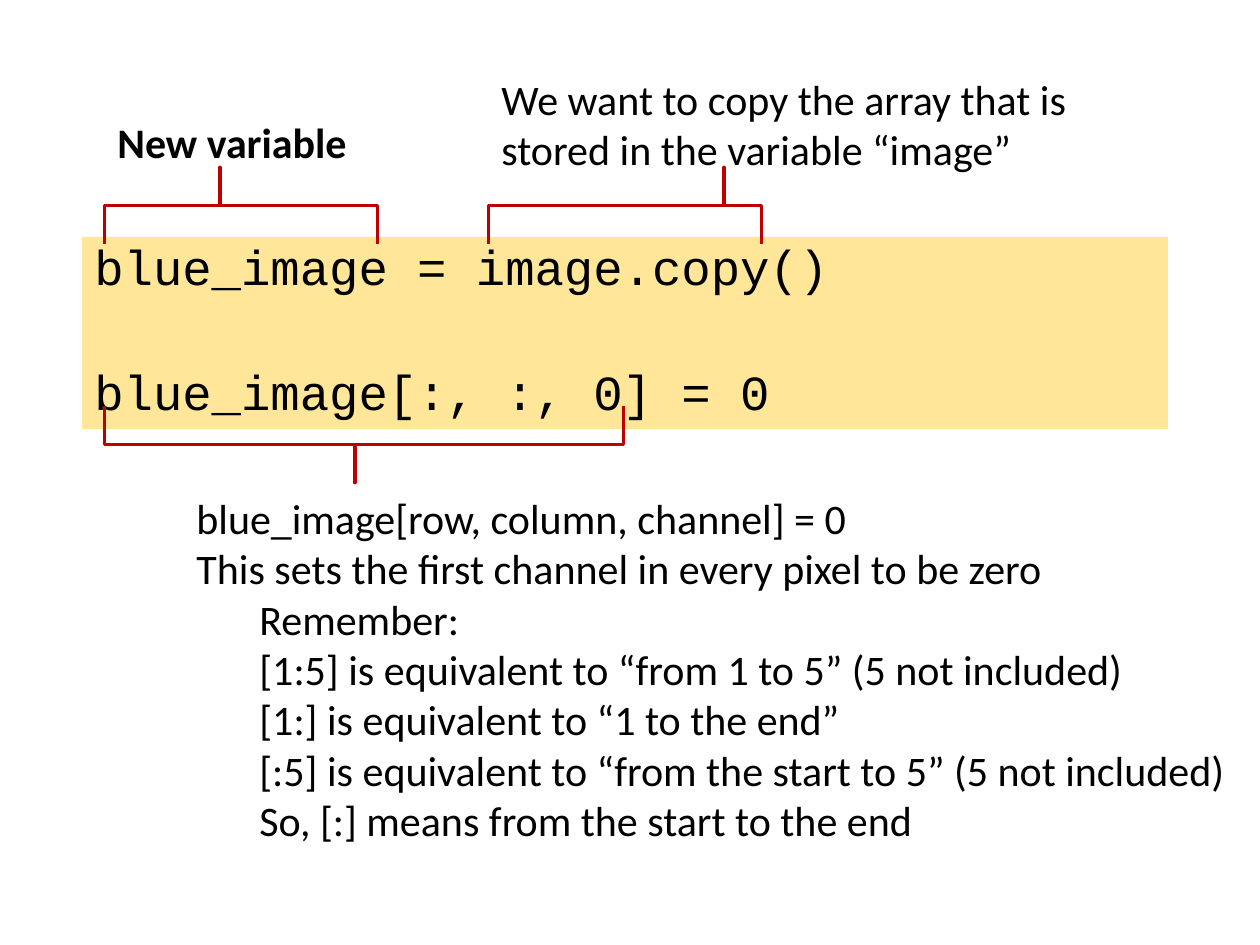
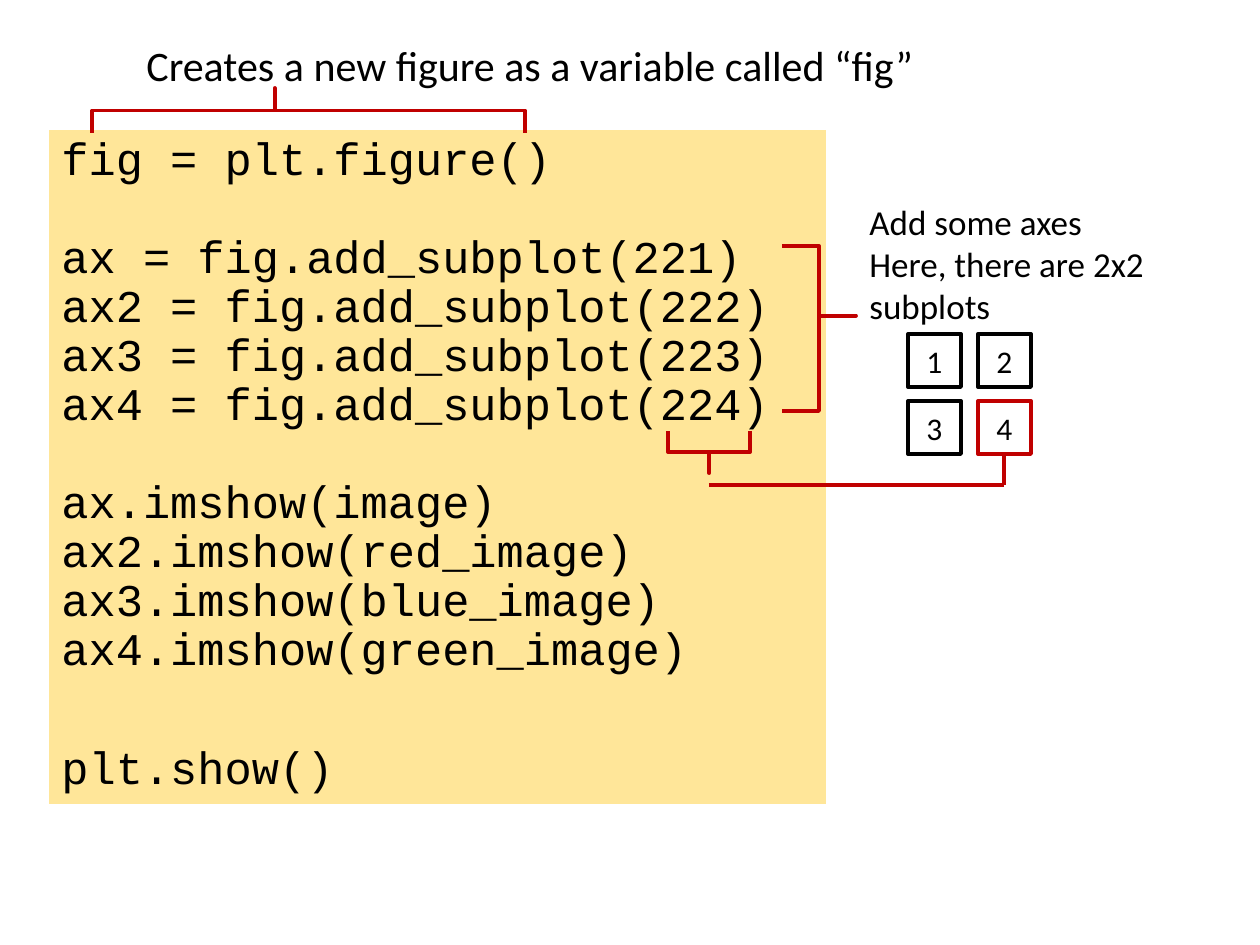
"""Build two slides that explain image array code with bracketed notes."""
from lxml import etree
from pptx import Presentation
from pptx.dml.color import RGBColor
from pptx.enum.shapes import MSO_CONNECTOR, MSO_SHAPE
from pptx.enum.text import MSO_ANCHOR, PP_ALIGN
from pptx.oxml.ns import qn
from pptx.util import Inches, Pt

RECT, BRACE = MSO_SHAPE.RECTANGLE, MSO_SHAPE.RIGHT_BRACE
STRAIGHT = MSO_CONNECTOR.STRAIGHT
MIDDLE, CENTER, LEFT = MSO_ANCHOR.MIDDLE, PP_ALIGN.CENTER, PP_ALIGN.LEFT
TOP = MSO_ANCHOR.TOP
COLORS = {"code": "FFE699", "accent": "C00000", "ink": "000000", "paper": "FFFFFF"}
BODY, MONO = "Calibri", "Courier New"
LINE_WIDTH = 2.25
PX_PER_INCH = 126
INDENT = 63

SLIDES = [
    {
        "code": {
            "at": (82, 237, 1086, 192), "size": 28,
            "blocks": [
                (0, ["blue_image = image.copy()"]),
                (41, ["blue_image[:, :, 0] = 0"]),
            ],
        },
        "braces": [
            ((203, 69, 76, 273), 270, 0.422),
            ((326, 185, 76, 519), 90, 0.518),
            ((587, 69, 76, 273), 270, 0.863),
        ],
        "notes": [
            {"at": (184, 486, 1062, 369), "size": 24, "wrap": False, "lines": [
                (0, "blue_image[row, column, channel] = 0"),
                (0, "This sets the first channel in every pixel to be zero"),
                (1, "Remember:"),
                (1, "[1:5] is equivalent to “from 1 to 5” (5 not included)"),
                (1, "[1:] is equivalent to “1 to the end”"),
                (1, "[:5] is equivalent to “from the start to 5” (5 not included)"),
                (1, "So, [:] means from the start to the end"),
            ]},
            {"at": (105, 110, 257, 63), "size": 24, "wrap": False, "bold": True,
             "lines": [(0, "New variable")]},
            {"at": (489, 67, 675, 115), "size": 24, "lines": [
                (0, "We want to copy the array that is stored in the variable “image”"),
            ]},
        ],
    },
    {
        "code": {
            "at": (49, 130, 777, 674), "size": 25.9,
            "blocks": [
                (0, ["fig = plt.figure()"]),
                (28, ["ax = fig.add_subplot(221)", "ax2 = fig.add_subplot(222)",
                      "ax3 = fig.add_subplot(223)", "ax4 = fig.add_subplot(224)"]),
                (28, ["ax.imshow(image)", "ax2.imshow(red_image)",
                      "ax3.imshow(blue_image)", "ax4.imshow(green_image)"]),
                (40, ["plt.show()"]),
            ],
        },
        "braces": [
            ((782, 246, 74, 165), 0, 0.422),
            ((286, -106, 45, 433), 270, 0.422),
            ((688, 411, 42, 82), 90, 0.498),
        ],
        "notes": [
            {"at": (134, 33, 939, 63), "size": 24, "lines": [
                (0, "Creates a new figure as a variable called “fig”"),
            ]},
            {"at": (857, 194, 341, 140), "size": 20, "lines": [
                (0, "Add some axes"),
                (0, "Here, there are 2x2 subplots"),
            ]},
        ],
        "subplots": {"origin": (908, 334), "side": 53, "pitch": (70, 67),
                     "columns": 2, "count": 4, "marked": 4},
        "link": [(709, 485), (1004, 485), (1004, 454)],
    },
]


def px(n):
    return Inches(n / PX_PER_INCH)


def color(name):
    return RGBColor.from_string(COLORS[name])


def style_runs(p, font, size, bold=False):
    for r in p.runs:
        r.font.name = font
        r.font.size = Pt(size)
        r.font.bold = bold
        r.font.color.rgb = color("ink")


def style_line(line):
    line.color.rgb = color("accent")
    line.width = Pt(LINE_WIDTH)


def add_box(slide, kind, at, fill=None):
    s = slide.shapes.add_shape(kind, *map(px, at))
    s.shadow.inherit = False
    if fill:
        s.fill.solid()
        s.fill.fore_color.rgb = color(fill)
    else:
        s.fill.background()
    return s


def add_code(slide, code):
    s = add_box(slide, RECT, code["at"], "code")
    s.line.fill.background()
    tf = s.text_frame
    tf.word_wrap = True
    tf.vertical_anchor = TOP
    tf.text = "\n".join(line for _, lines in code["blocks"] for line in lines)
    gaps = [gap if i == 0 else 0
            for gap, lines in code["blocks"] for i in range(len(lines))]
    for p, gap in zip(tf.paragraphs, gaps):
        p.alignment = LEFT
        p.line_spacing = 0.9
        p.space_before = Pt(gap)
        style_runs(p, MONO, code["size"])


def add_brace(slide, at, rotation, tip):
    s = add_box(slide, BRACE, at)
    s.rotation = rotation
    s.adjustments[0] = 0
    s.adjustments[1] = tip
    style_line(s.line)


def add_note(slide, note):
    tf = slide.shapes.add_textbox(*map(px, note["at"])).text_frame
    tf.word_wrap = note.get("wrap", True)
    tf.text = "\n".join(text for _, text in note["lines"])
    for p, (level, _) in zip(tf.paragraphs, note["lines"]):
        if level:
            p.level = level
            p._p.get_or_add_pPr().set("marL", str(px(INDENT * level)))
        style_runs(p, BODY, note["size"], note.get("bold", False))


def add_subplots(slide, grid):
    left, top = grid["origin"]
    dx, dy = grid["pitch"]
    side = grid["side"]
    for i in range(grid["count"]):
        row, col = divmod(i, grid["columns"])
        s = add_box(slide, RECT, (left + col * dx, top + row * dy, side, side), "paper")
        style_line(s.line)
        if i + 1 != grid["marked"]:
            s.line.color.rgb = color("ink")
        tf = s.text_frame
        tf.text = str(i + 1)
        tf.vertical_anchor = MIDDLE
        tf.paragraphs[0].alignment = CENTER
        style_runs(tf.paragraphs[0], BODY, 18)


def add_link(slide, points):
    for start, end in zip(points, points[1:]):
        c = slide.shapes.add_connector(STRAIGHT, *map(px, start + end))
        style_line(c.line)
        etree.SubElement(c._element.spPr, qn("a:effectLst"))


def main():
    prs = Presentation()
    prs.slide_width, prs.slide_height = Inches(10), Inches(7.5)
    for content in SLIDES:
        slide = prs.slides.add_slide(prs.slide_layouts[6])
        add_code(slide, content["code"])
        for brace in content["braces"]:
            add_brace(slide, *brace)
        for note in content["notes"]:
            add_note(slide, note)
        if "subplots" in content:
            add_subplots(slide, content["subplots"])
        add_link(slide, content.get("link", []))
    prs.save("out.pptx")


if __name__ == "__main__":
    main()
